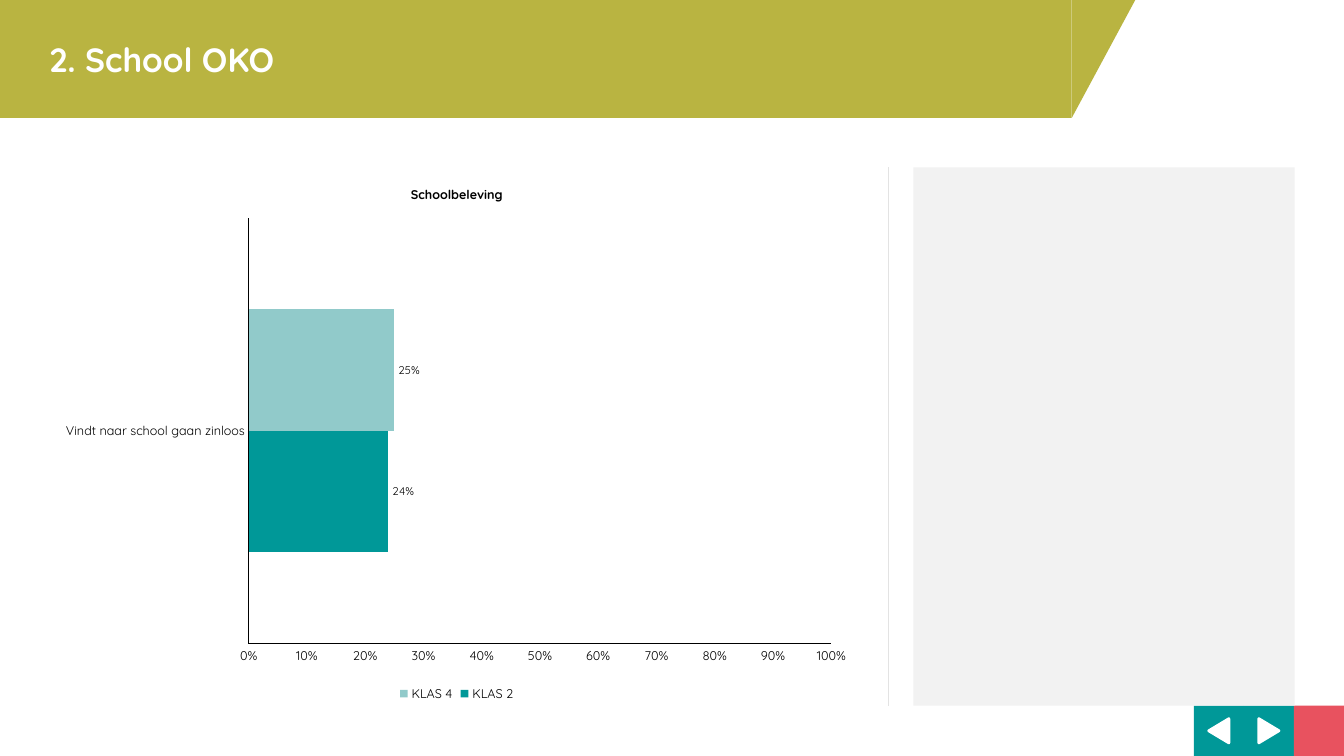
from lxml import etree
from pptx import Presentation
from pptx.chart.data import CategoryChartData
from pptx.dml.color import RGBColor
from pptx.enum.chart import XL_CHART_TYPE, XL_LABEL_POSITION, XL_LEGEND_POSITION, XL_TICK_MARK
from pptx.enum.shapes import MSO_CONNECTOR, MSO_SHAPE
from pptx.enum.text import MSO_ANCHOR, PP_ALIGN
from pptx.oxml import parse_xml
from pptx.oxml.ns import nsdecls, qn
from pptx.util import Inches, Pt

BAR = XL_CHART_TYPE.BAR_CLUSTERED
OUTSIDE = XL_LABEL_POSITION.OUTSIDE_END
BOTTOM = XL_LEGEND_POSITION.BOTTOM
NO_TICK = XL_TICK_MARK.NONE
STRAIGHT = MSO_CONNECTOR.STRAIGHT
RECT = MSO_SHAPE.RECTANGLE
ARROW = MSO_SHAPE.ISOSCELES_TRIANGLE
WEDGE = MSO_SHAPE.RIGHT_TRIANGLE
MIDDLE = MSO_ANCHOR.MIDDLE
LEFT = PP_ALIGN.LEFT

FONT = "Quicksand"
COLORS = {
    "olive": "B9B441", "teal": "009898", "mint": "91CACA", "red": "E8525F",
    "panel": "F2F2F2", "rule": "E3E3E3", "white": "FFFFFF", "black": "000000",
}


def color(name):
    """Return the named colour."""
    return RGBColor.from_string(COLORS[name])


def style(font, size, name="black", bold=False):
    """Set the face, size, colour and weight of a font."""
    font.name, font.size, font.bold = FONT, Pt(size), bold
    font.color.rgb = color(name)


def block(slide, kind, box, fill, turn=0):
    """Add a filled shape without outline or shadow."""
    shape = slide.shapes.add_shape(kind, *map(Inches, box))
    shape.shadow.inherit = False
    shape.fill.solid()
    shape.fill.fore_color.rgb = color(fill)
    shape.line.fill.background()
    shape.rotation = turn
    return shape


def banner(slide, box, text):
    """Add the title bar and its slanted end."""
    x, y, w, h = box
    slant = 0.63
    bar = block(slide, RECT, (x, y, w, h), "olive")
    frame = bar.text_frame
    frame.word_wrap = True
    frame.vertical_anchor = MIDDLE
    frame.margin_left = Inches(0.49)
    para = frame.paragraphs[0]
    para.alignment = LEFT
    run = para.add_run()
    run.text = text
    style(run.font, 24, "white", True)
    shift = (h - slant) / 2
    block(slide, WEDGE, (x + w - shift, y + shift, h, slant), "olive", 90)


def buttons(slide, box):
    """Add the back and forward buttons and the corner tile."""
    x, y, w, h = box
    step = w / 3
    tiles = [("teal", 270), ("teal", 90), ("red", None)]
    for i, (fill, turn) in enumerate(tiles):
        left = x + i * step
        block(slide, RECT, (left, y, step, h), fill)
        if turn is None:
            continue
        wide, high = 0.24, 0.2
        spot = (left + (step - wide) / 2, y + (h - high) / 2, wide, high)
        arrow = block(slide, ARROW, spot, "white", turn)
        arrow.line.color.rgb = color("white")
        arrow.line.width = Pt(2)
        etree.SubElement(arrow.line._get_or_add_ln(), qn("a:round"))


def side(slide, box):
    """Add the dividing rule and the grey panel."""
    x, y, w, h = box
    gap = 0.25
    rule = slide.shapes.add_connector(
        STRAIGHT, Inches(x), Inches(y + h), Inches(x), Inches(y))
    rule.line.color.rgb = color("rule")
    rule.line.width = Pt(1)
    etree.SubElement(rule._element.spPr, qn("a:effectLst"))
    block(slide, RECT, (x + gap, y, w - gap, h), "panel")


def place(chart, parts):
    """Fix the inner plot area as fractions of the chart."""
    marks = "".join(f'<c:{key} val="{val}"/>' for key, val in parts.items())
    layout = parse_xml(
        f'<c:layout {nsdecls("c")}><c:manualLayout><c:layoutTarget val="inner"/>'
        f'<c:xMode val="edge"/><c:yMode val="edge"/>{marks}'
        '</c:manualLayout></c:layout>')
    area = chart._chartSpace.chart.plotArea
    for old in area.findall(qn("c:layout")):
        area.remove(old)
    area.insert(0, layout)


def graph(slide, box):
    """Add the bar chart of school experience."""
    data = CategoryChartData(number_format="0%")
    data.categories = ["Vindt naar school gaan zinloos"]
    data.add_series("KLAS 2", [0.24])
    data.add_series("KLAS 4", [0.25])
    chart = slide.shapes.add_chart(BAR, *map(Inches, box), data).chart
    style(chart.font, 9)
    chart.has_title = True
    run = chart.chart_title.text_frame.paragraphs[0].add_run()
    run.text = "Schoolbeleving"
    style(run.font, 9, bold=True)
    chart.chart_title.include_in_layout = False
    chart.has_legend = True
    chart.legend.position = BOTTOM
    chart.legend.include_in_layout = False
    style(chart.legend.font, 9)

    for axis in (chart.category_axis, chart.value_axis):
        axis.has_major_gridlines = False
        axis.major_tick_mark = axis.minor_tick_mark = NO_TICK
        axis.format.line.color.rgb = color("black")
        axis.format.line.width = Pt(1)
        style(axis.tick_labels.font, 9)
    scale = chart.value_axis
    scale.minimum_scale, scale.maximum_scale = 0, 1
    scale.major_unit = 0.1
    scale.tick_labels.number_format = "0%"
    scale.tick_labels.number_format_is_linked = False

    plot = chart.plots[0]
    plot.gap_width = 150
    plot.overlap = 0
    plot.vary_by_categories = False
    for series, fill in zip(plot.series, ("teal", "mint")):
        series.format.fill.solid()
        series.format.fill.fore_color.rgb = color(fill)
        labels = series.data_labels
        labels.show_value = True
        labels.position = OUTSIDE
        labels.number_format = "0%"
        labels.number_format_is_linked = False
        style(labels.font, 8)
    place(chart, {"x": 0.244, "y": 0.094, "w": 0.717, "h": 0.791})


def main():
    """Build and save the slide."""
    deck = Presentation()
    deck.slide_width, deck.slide_height = Inches(13.33), Inches(7.5)
    slide = deck.slides.add_slide(deck.slide_layouts[6])
    buttons(slide, (11.84, 7, 1.49, 0.5))
    banner(slide, (0, 0, 10.63, 1.17), "2. School OKO")
    side(slide, (8.81, 1.66, 4.03, 5.34))
    graph(slide, (0.5, 1.66, 8.06, 5.34))
    deck.save("out.pptx")


if __name__ == "__main__":
    main()
